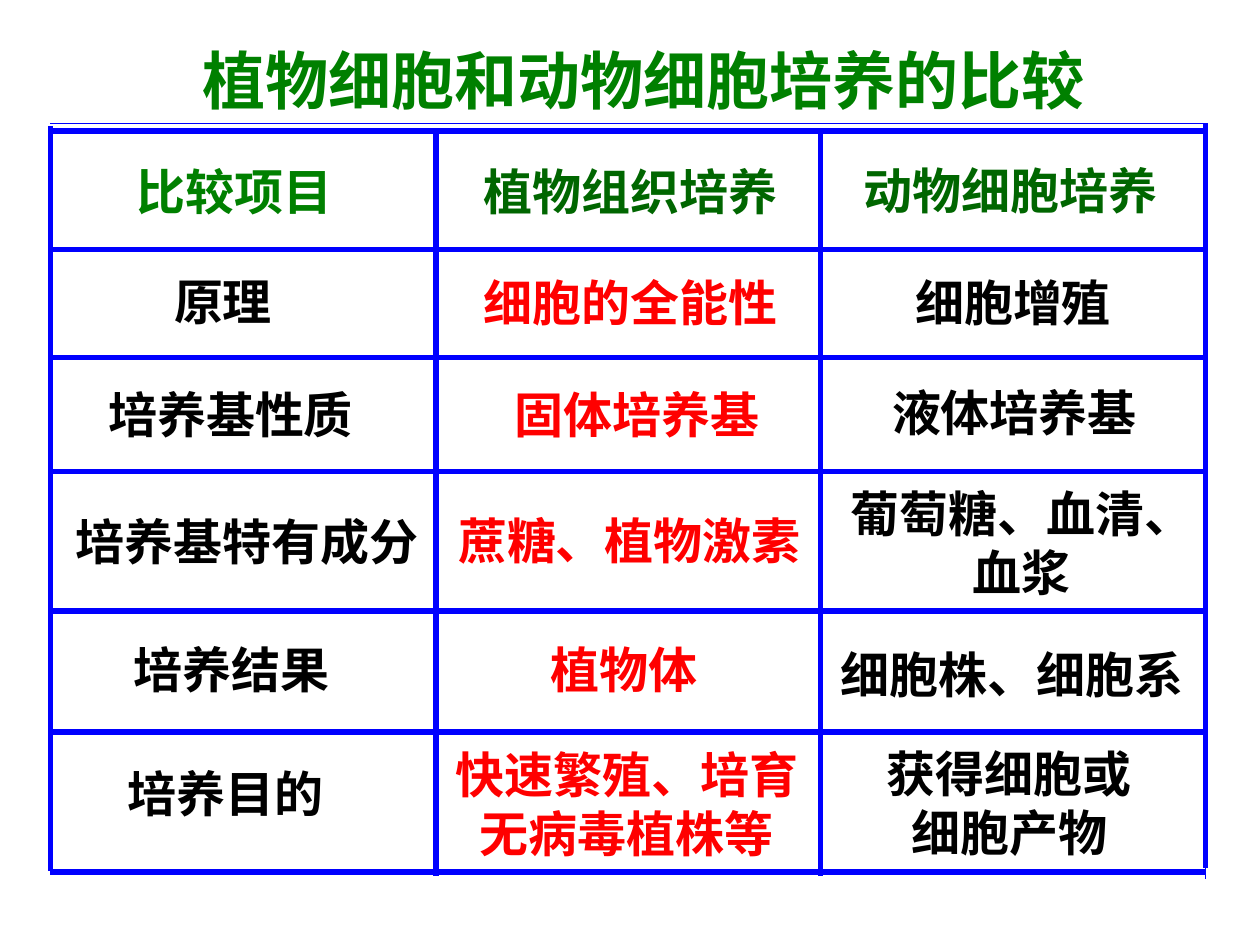
import pptx
import pptx.util
import pptx.dml.color
import pptx.enum.shapes
import pptx.enum.text
import pptx.oxml.ns
import lxml.etree

# Content: each cell is (text, box width, shift from cell centre x, y)
TITLE = "植物细胞和动物细胞培养的比较"
ROWS = [
    [("比较项目", 1.92, -0.07, 0.01), ("植物组织培养", 2.76, 0.02, 0.01),
     ("动物细胞培养", 2.91, -0.02, 0)],
    [("原理", 0.97, -0.16, -0.02), ("细胞的全能性", 2.55, 0.02, -0.01),
     ("细胞增殖", 2.15, 0, -0.01)],
    [("培养基性质", 2.51, -0.1, 0), ("固体培养基", 2.33, 0.07, 0),
     ("液体培养基", 2.22, 0.01, -0.02)],
    [("培养基特有成分", 3.39, 0.03, 0), ("蔗糖、植物激素", 3.31, 0.01, -0.01),
     ("葡萄糖、血清、血浆", 2.9, 0.07, 0.01)],
    [("培养结果", 1.89, -0.09, -0.02), ("植物体", 1.17, -0.03, -0.02),
     ("细胞株、细胞系", 2.72, -0.01, 0.02)],
    [("培养目的", 2.11, -0.14, -0.07), ("快速繁殖、培育无病毒植株等", 3, -0.01, 0.01),
     ("获得细胞或细胞产物", 2.27, -0.03, 0)],
]
HEADER_COLORS = ["008000", "006600", "006600"]
BODY_COLORS = ["000000", "FF0000", "000000"]

# Grid edges in inches
COL_EDGES = [0.4, 3.46, 6.51, 9.57]
ROW_EDGES = [1.04, 1.98, 2.84, 3.74, 4.85, 5.81, 6.92]
COL_TOPS = [1, 1.04, 1.04, 0.98]
COL_LENGTH = 5.91
LEFT, RIGHT = COL_EDGES[0], COL_EDGES[-1]
SIZE = 28
LINE_HEIGHT = 1.2

prs = pptx.Presentation()
prs.slide_width = pptx.util.Inches(10)
prs.slide_height = pptx.util.Inches(7.5)
s = prs.slides.add_slide(prs.slide_layouts[6])


def rgb(color):
    return pptx.dml.color.RGBColor.from_string(color)


def add_text(text, x, y, w, h, size=SIZE, color="000000",
             font="Noto Sans CJK SC", inset=(0, 0), wrap=True):
    sp = s.shapes.add_textbox(*map(pptx.util.Inches, (x, y, w, h)))
    tf = sp.text_frame
    tf.word_wrap = wrap
    tf.auto_size = pptx.enum.text.MSO_AUTO_SIZE.SHAPE_TO_FIT_TEXT
    tf.margin_left = tf.margin_right = pptx.util.Inches(inset[0])
    tf.margin_top = tf.margin_bottom = pptx.util.Inches(inset[1])
    p = tf.paragraphs[0]
    p.alignment = pptx.enum.text.PP_ALIGN.CENTER
    p.line_spacing = pptx.util.Pt(size * LINE_HEIGHT)
    r = p.add_run()
    r.text = text
    r.font.size = pptx.util.Pt(size)
    r.font.bold = True
    r.font.color.rgb = rgb(color)
    r.font.name = font
    # East Asian typeface
    ea = lxml.etree.SubElement(r.font._element, pptx.oxml.ns.qn("a:ea"))
    ea.set("typeface", font)


def add_line(x1, y1, x2, y2, width=3):
    line = s.shapes.add_connector(pptx.enum.shapes.MSO_CONNECTOR.STRAIGHT,
                                  *map(pptx.util.Inches, (x1, y1, x2, y2)))
    line.line.color.rgb = rgb("0000FF")
    line.line.width = pptx.util.Pt(width)
    lxml.etree.SubElement(line._element.spPr, pptx.oxml.ns.qn("a:effectLst"))


# Cell texts
for i, row in enumerate(ROWS):
    colors = HEADER_COLORS if i == 0 else BODY_COLORS
    for j, (text, w, dx, dy) in enumerate(row):
        text_width = len(text) * SIZE / 72
        h = 0.93 if text_width > w + 0.1 else 0.47
        x = (COL_EDGES[j] + COL_EDGES[j + 1] - w) / 2 + dx
        y = (ROW_EDGES[i] + ROW_EDGES[i + 1] - h) / 2 + dy
        add_text(text, x, y, w, h, color=colors[j],
                 wrap=abs(text_width - w) > 0.01)

# Thin outer lines, then the thick grid
add_line(RIGHT, 1.06, RIGHT, 6.98, width=0.75)
add_line(LEFT, 0.98, RIGHT, 0.98, width=0.75)
for y in ROW_EDGES:
    add_line(LEFT, y, RIGHT, y)
for x, top in zip(COL_EDGES, COL_TOPS):
    add_line(x, top, x, top + COL_LENGTH)

# Title
add_text(TITLE, 1.3, 0.28, 7.62, 0.7, size=36, color="008000",
         font="Arial Narrow", inset=(0.1, 0.05))

prs.save("out.pptx")
